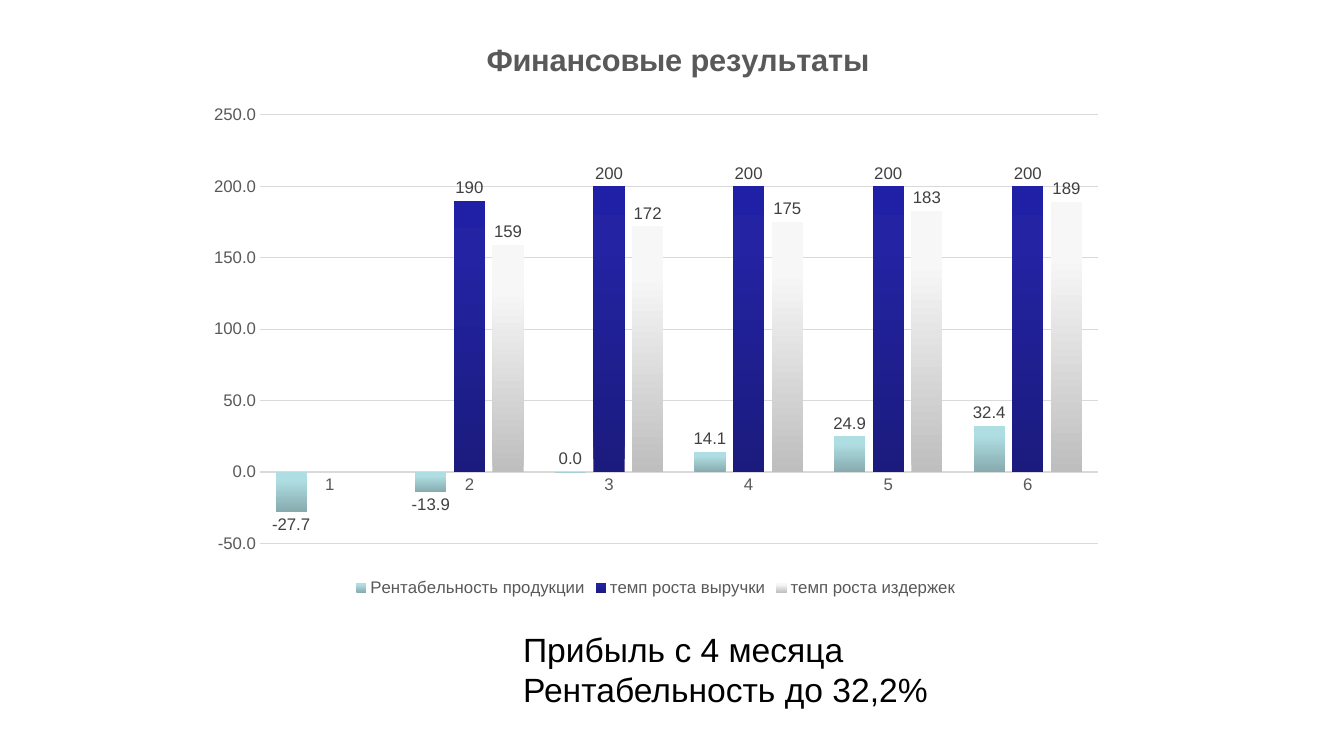
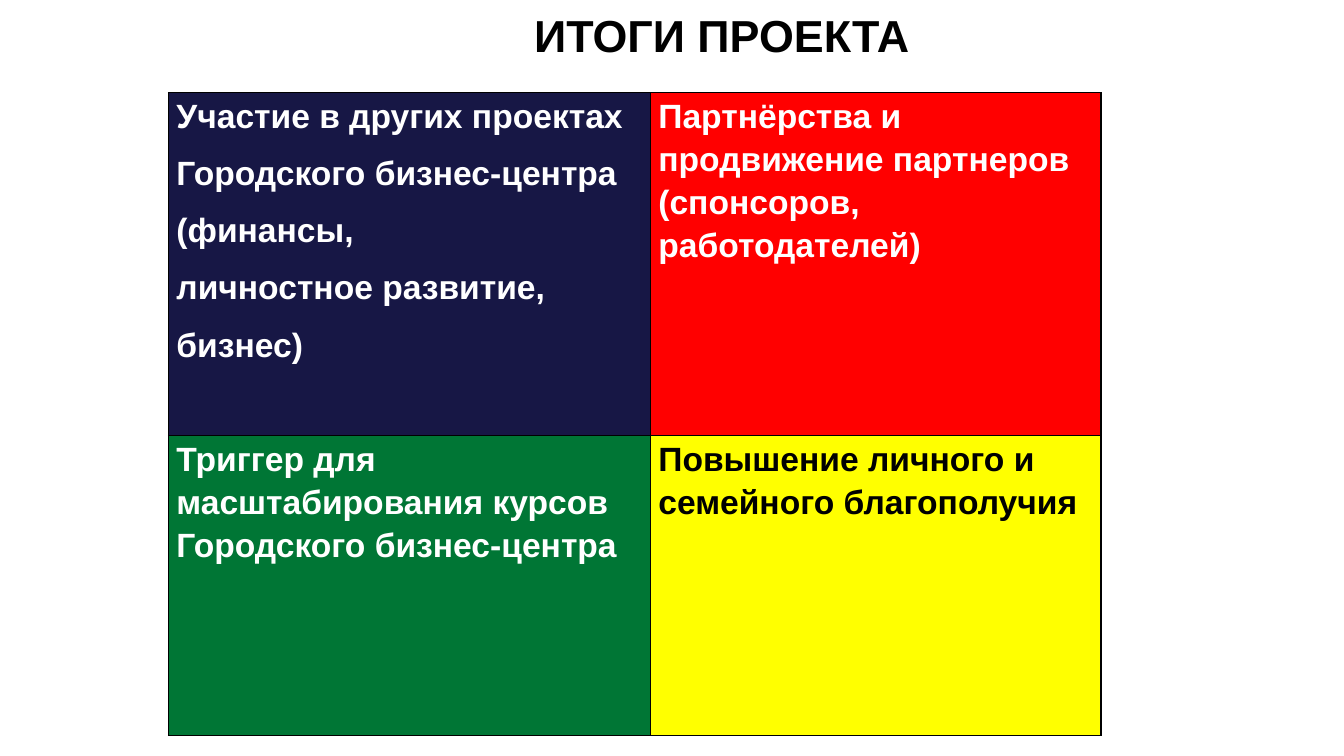
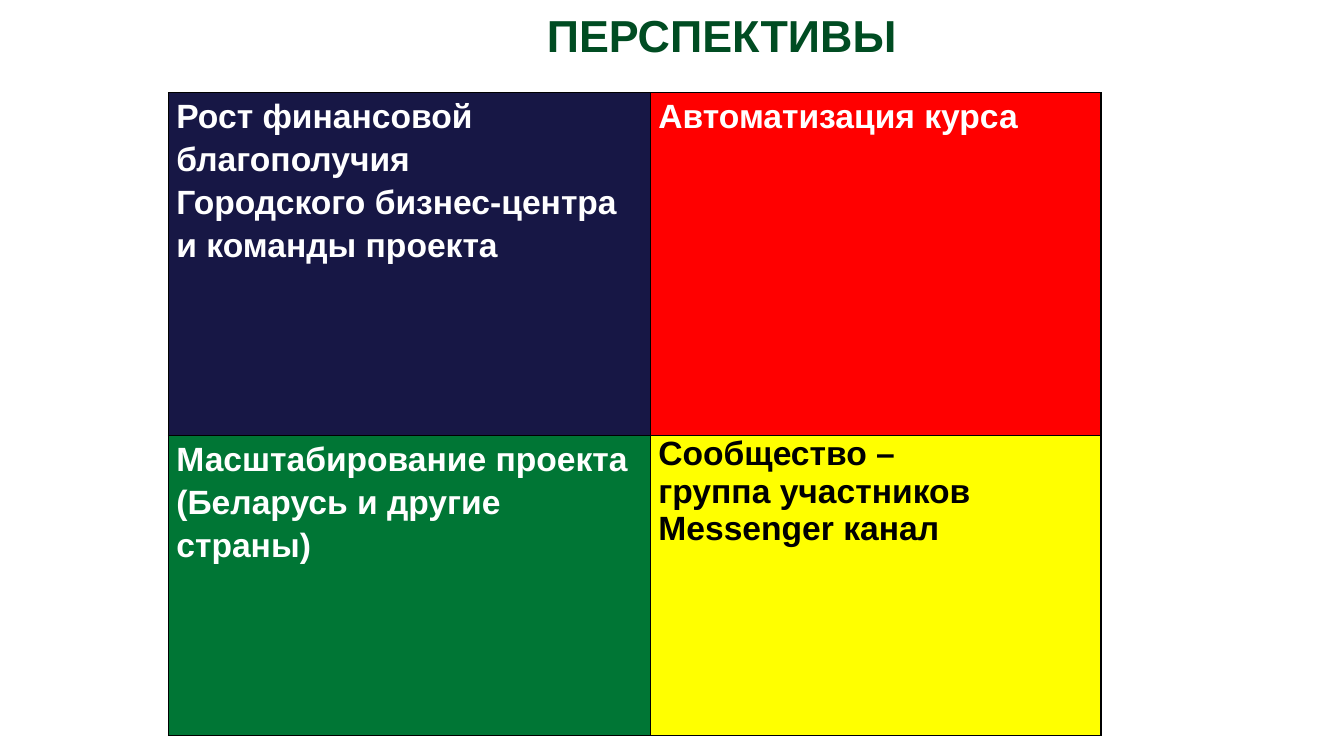
"""Build three slides: financial results chart, project outcomes and prospects."""
from copy import deepcopy
from dataclasses import dataclass

from pptx import Presentation
from pptx.chart.data import CategoryChartData
from pptx.dml.color import RGBColor
from pptx.enum import chart as ch, text as tx
from pptx.oxml import parse_xml
from pptx.oxml.ns import nsdecls, qn
from pptx.util import Inches, Pt

FONT = "Arial"
BLACK = RGBColor(0x00, 0x00, 0x00)
WHITE = RGBColor(0xFF, 0xFF, 0xFF)
AXIS_TEXT = RGBColor(0x59, 0x59, 0x59)
LABEL_TEXT = RGBColor(0x40, 0x40, 0x40)
GRID = RGBColor(0xD9, 0xD9, 0xD9)
NAVY = RGBColor(0x17, 0x17, 0x45)
RED = RGBColor(0xFF, 0x00, 0x00)
GREEN = RGBColor(0x00, 0x76, 0x35)
YELLOW = RGBColor(0xFF, 0xFF, 0x00)
DARK_GREEN = RGBColor(0x00, 0x4C, 0x22)

QUADRANT_COLOURS = ((NAVY, WHITE), (RED, WHITE), (GREEN, WHITE), (YELLOW, BLACK))
COLUMN_WIDTHS = (4.78, 4.47)
ROW_HEIGHTS = (3.4, 2.98)
GRADIENT_POSITIONS = (0, 0.8, 1)


@dataclass(frozen=True)
class Indicator:
    name: str
    values: tuple
    number_format: str
    gradient: tuple[str, str, str]


@dataclass(frozen=True)
class Quadrant:
    lines: tuple[str, ...]
    spacing: float = 1.15
    after: int = 0


@dataclass(frozen=True)
class Matrix:
    title: str
    title_colour: RGBColor
    quadrants: tuple[Quadrant, ...]


INDICATORS = (
    Indicator("Рентабельность продукции", (-27.7, -13.9, 0, 14.1, 24.9, 32.4),
              "0.0", ("87ABAE", "AFDEE2", "AFE0E4")),
    Indicator("темп роста выручки", (None, 190, 200, 200, 200, 200),
              "0", ("1B1B7E", "2323A3", "2020A6")),
    Indicator("темп роста издержек", (None, 159, 172, 175, 183, 189),
              "0", ("BEBEBE", "F7F7F7", "F8F8F8")),
)

MATRICES = (
    Matrix("ИТОГИ ПРОЕКТА", BLACK, (
        Quadrant(("Участие в других проектах", "Городского бизнес-центра", "(финансы,",
                  "личностное развитие,", "бизнес)"), after=10),
        Quadrant(("Партнёрства и продвижение партнеров", "(спонсоров, работодателей)")),
        Quadrant(("Триггер для масштабирования курсов Городского бизнес-центра",)),
        Quadrant(("Повышение личного и семейного благополучия",)),
    )),
    Matrix("ПЕРСПЕКТИВЫ", DARK_GREEN, (
        Quadrant(("Рост финансовой благополучия", "Городского бизнес-центра и команды проекта")),
        Quadrant(("Автоматизация курса",), after=10),
        Quadrant(("Масштабирование проекта (Беларусь и другие страны)",), after=10),
        Quadrant(("Сообщество –", "группа участников", "Messenger канал"), spacing=1),
    )),
)


def style_font(font, size: float, colour: RGBColor, bold: bool = False) -> None:
    font.name, font.size, font.bold = FONT, Pt(size), bold
    font.color.rgb = colour


def write_lines(frame, lines: tuple[str, ...], size: float, colour: RGBColor,
                bold: bool = False) -> None:
    frame.text = "\n".join(lines)
    for paragraph in frame.paragraphs:
        style_font(paragraph.font, size, colour, bold)


def add_text(slide, left: float, top: float, width: float, height: float,
             lines: tuple[str, ...], size: float, colour: RGBColor, bold: bool = False):
    box = slide.shapes.add_textbox(Inches(left), Inches(top), Inches(width), Inches(height))
    box.text_frame.word_wrap = True
    box.text_frame.auto_size = tx.MSO_AUTO_SIZE.SHAPE_TO_FIT_TEXT
    write_lines(box.text_frame, lines, size, colour, bold)
    return box.text_frame


def place(element, index: int, target: str = "", **fractions: float) -> None:
    """Give a chart part a fixed place, in fractions of the chart area."""
    for old in element.findall(qn("c:layout")):
        element.remove(old)
    parts = f'<c:layoutTarget val="{target}"/>' if target else ""
    parts += "".join(f'<c:{axis}Mode val="edge"/>' for axis in "xy")
    parts += "".join(f'<c:{key} val="{value}"/>' for key, value in fractions.items())
    element.insert(index, parse_xml(
        f'<c:layout {nsdecls("c")}><c:manualLayout>{parts}</c:manualLayout></c:layout>'))


def style_series(series, indicator: Indicator) -> None:
    series.invert_if_negative = False
    fill = series.format.fill
    fill.gradient()
    fill.gradient_angle = 90
    stop_list = next(series._element.iter(qn("a:gsLst")))
    stop_list.append(deepcopy(stop_list[-1]))
    for stop, position, colour in zip(fill.gradient_stops, GRADIENT_POSITIONS,
                                      indicator.gradient):
        stop.position = position
        stop.color.rgb = RGBColor.from_string(colour)
    labels = series.data_labels
    labels.show_value = True
    labels.position = ch.XL_LABEL_POSITION.OUTSIDE_END
    labels.number_format, labels.number_format_is_linked = indicator.number_format, False
    style_font(labels.font, 12, LABEL_TEXT)


def add_results_chart(slide) -> None:
    data = CategoryChartData()
    data.categories = [str(month) for month in range(1, 7)]
    for indicator in INDICATORS:
        data.add_series(indicator.name, indicator.values)
    chart = slide.shapes.add_chart(ch.XL_CHART_TYPE.COLUMN_CLUSTERED, Inches(1.94), Inches(0.29),
                                   Inches(9.13), Inches(5.67), data).chart
    style_font(chart.font, 10, BLACK)
    chart.has_title = True
    write_lines(chart.chart_title.text_frame, ("Финансовые результаты",), 22, AXIS_TEXT, True)
    place(chart.chart_title._element, 1, x=0.31, y=0.01)
    place(chart._chartSpace.chart.plotArea, 0, "inner", x=0.07, y=0.15, w=0.91, h=0.75)

    chart.has_legend = True
    chart.legend.position = ch.XL_LEGEND_POSITION.BOTTOM
    chart.legend.include_in_layout = False
    style_font(chart.legend.font, 12, AXIS_TEXT)

    months, scale = chart.category_axis, chart.value_axis
    for axis in (months, scale):
        axis.major_tick_mark = axis.minor_tick_mark = ch.XL_TICK_MARK.NONE
        style_font(axis.tick_labels.font, 12, AXIS_TEXT)
    months.format.line.color.rgb = GRID
    months.format.line.width = Pt(1)
    scale.format.line.fill.background()
    scale.minimum_scale, scale.maximum_scale, scale.major_unit = -50, 250, 50
    scale.tick_labels.number_format = "0.0"
    scale.tick_labels.number_format_is_linked = False
    scale.major_gridlines.format.line.color.rgb = GRID
    scale.major_gridlines.format.line.width = Pt(0.75)

    plot = chart.plots[0]
    plot.vary_by_categories = False
    plot.gap_width, plot.overlap = 100, -24
    for series, indicator in zip(plot.series, INDICATORS):
        style_series(series, indicator)


def fill_quadrant(cell, quadrant: Quadrant, background: RGBColor, colour: RGBColor) -> None:
    cell.margin_left = cell.margin_right = Inches(0.08)
    cell.margin_top = cell.margin_bottom = 0
    properties = cell._tc.get_or_add_tcPr()
    for side in "LRTB":
        properties.append(parse_xml(
            f'<a:ln{side} {nsdecls("a")} w="{Pt(1)}"><a:solidFill>'
            f'<a:srgbClr val="{BLACK}"/></a:solidFill></a:ln{side}>'))
    cell.fill.solid()
    cell.fill.fore_color.rgb = background
    write_lines(cell.text_frame, quadrant.lines, 24, colour, True)
    for paragraph in cell.text_frame.paragraphs:
        paragraph.line_spacing = quadrant.spacing
        paragraph.space_after = Pt(quadrant.after)


def add_matrix(slide, matrix: Matrix) -> None:
    title = add_text(slide, 2.16, 0.03, 10, 0.64, (matrix.title,), 32, matrix.title_colour, True)
    title.paragraphs[0].alignment = tx.PP_ALIGN.CENTER
    table = slide.shapes.add_table(2, 2, Inches(1.67), Inches(0.92), Inches(sum(COLUMN_WIDTHS)),
                                   Inches(sum(ROW_HEIGHTS))).table
    table.first_row = table.horz_banding = False
    for column, width in zip(table.columns, COLUMN_WIDTHS):
        column.width = Inches(width)
    for row, height in zip(table.rows, ROW_HEIGHTS):
        row.height = Inches(height)
    for cell, quadrant, colours in zip(table.iter_cells(), matrix.quadrants, QUADRANT_COLOURS):
        fill_quadrant(cell, quadrant, *colours)


def main() -> None:
    deck = Presentation()
    deck.slide_width, deck.slide_height = Inches(13.33), Inches(7.5)
    blank = deck.slide_layouts[6]
    results = deck.slides.add_slide(blank)
    add_results_chart(results)
    add_text(results, 5.09, 6.19, 6.67, 0.91,
             ("Прибыль с 4 месяца", "Рентабельность до 32,2%"), 24, BLACK)
    for matrix in MATRICES:
        add_matrix(deck.slides.add_slide(blank), matrix)
    deck.save("out.pptx")


if __name__ == "__main__":
    main()
